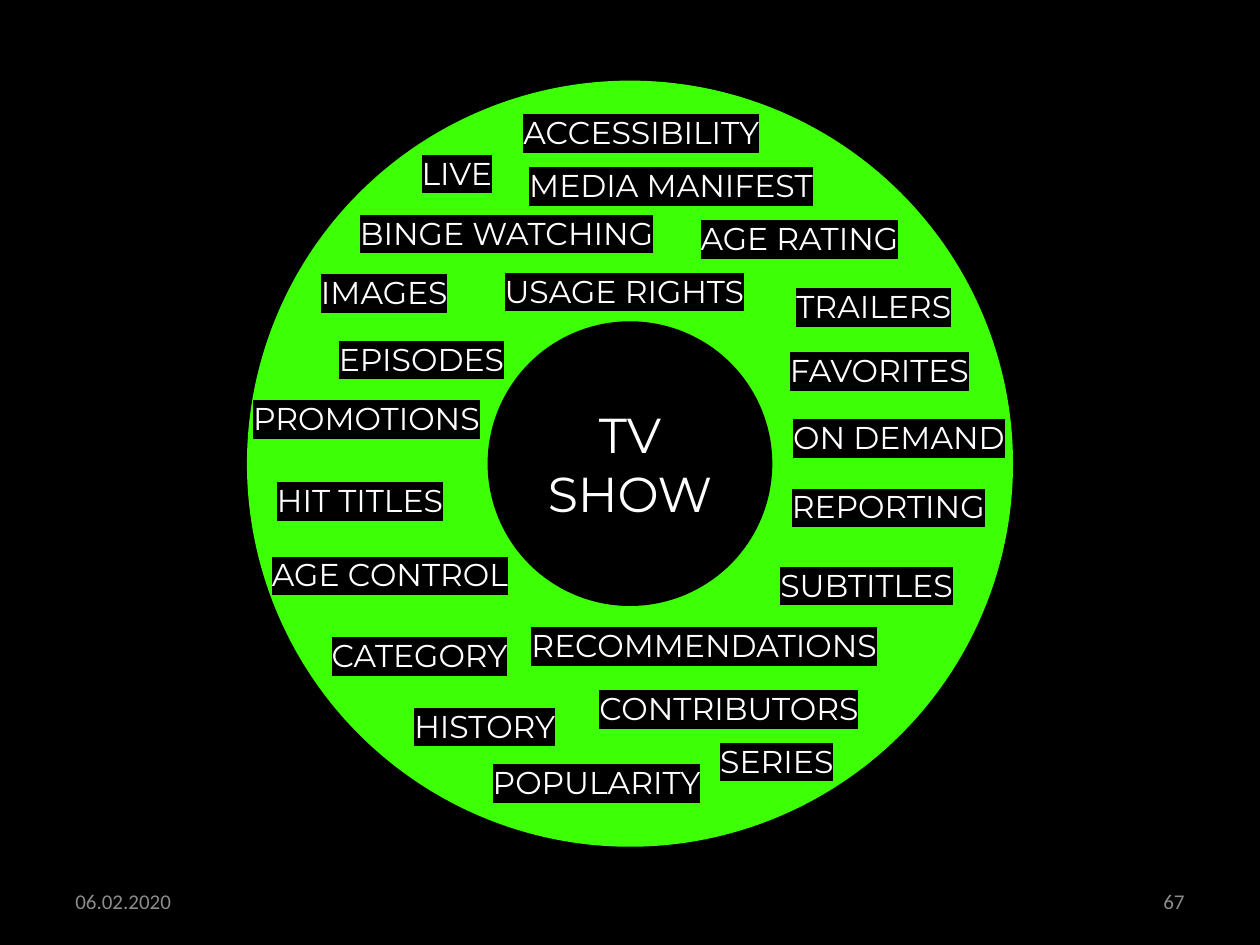
from lxml.etree import SubElement
from pptx import Presentation
from pptx.dml.color import RGBColor
from pptx.enum.shapes import MSO_SHAPE
from pptx.enum.text import MSO_ANCHOR, MSO_AUTO_SIZE, PP_ALIGN
from pptx.oxml.ns import qn
from pptx.util import Inches, Pt

PX = Inches(1) // 100
COLORS = {"black": "000000", "green": "3DFF06", "white": "FFFFFF", "gray": "8C8C8C"}
LEFT, CENTER, RIGHT = PP_ALIGN.LEFT, PP_ALIGN.CENTER, PP_ALIGN.RIGHT
TOPIC_HEIGHT = 40

TOPICS = [
    ("SERIES", 363, 520, 115, CENTER),
    ("FAVORITES", 414, 210, 176, CENTER),
    ("SUBTITLES", 403, 380, 167, RIGHT),
    ("PROMOTIONS", -5, 248, 208, LEFT),
    ("BINGE WATCHING", 72, 101, 268, CENTER),
    ("HIT TITLES", 14, 313, 164, LEFT),
    ("RECOMMENDATIONS", 216, 428, 306, LEFT),
    ("HISTORY", 123, 492, 140, LEFT),
    ("EPISODES", 60, 201, 157, CENTER),
    ("ACCESSIBILITY", 201, 21, 224, CENTER),
    ("REPORTING", 419, 318, 180, CENTER),
    ("POPULARITY", 179, 537, 197, CENTER),
    ("AGE RATING", 344, 105, 189, CENTER),
    ("USAGE RIGHTS", 189, 147, 221, CENTER),
    ("CONTRIBUTORS", 264, 478, 237, CENTER),
    ("AGE CONTROL", 5, 372, 217, CENTER),
    ("CATEGORY", 52, 436, 170, CENTER),
    ("IMAGES", 46, 148, 126, CENTER),
    ("MEDIA MANIFEST", 207, 63, 259, CENTER),
    ("LIVE", 126, 53, 81, CENTER),
    ("ON DEMAND", 421, 263, 193, CENTER),
    ("TRAILERS", 421, 159, 153, CENTER),
]


def rgb(name):
    return RGBColor.from_string(COLORS[name])


def emu(*lengths):
    return [length * PX for length in lengths]


def add_disc(slide, box, color):
    disc = slide.shapes.add_shape(MSO_SHAPE.OVAL, *emu(*box))
    disc.shadow.inherit = False
    disc.fill.solid()
    disc.fill.fore_color.rgb = rgb(color)
    disc.line.fill.background()


def add_text(slide, box, text, size, font, color, align, highlight=None, fixed=False):
    label = slide.shapes.add_textbox(*emu(*box))
    frame = label.text_frame
    frame.text = text
    frame.word_wrap = fixed
    frame.auto_size = MSO_AUTO_SIZE.NONE if fixed else MSO_AUTO_SIZE.SHAPE_TO_FIT_TEXT
    frame.vertical_anchor = MSO_ANCHOR.MIDDLE if fixed else MSO_ANCHOR.TOP
    for paragraph in frame.paragraphs:
        paragraph.alignment = align
        for run in paragraph.runs:
            run.font.size = Pt(size)
            run.font.color.rgb = rgb(color)
            if highlight:
                marker = SubElement(run.font._element, qn("a:highlight"))
                SubElement(marker, qn("a:srgbClr"), val=COLORS[highlight])
            run.font.name = font


def build_wheel(slide, left, top, size):
    add_disc(slide, (left, top, size, size), "green")
    for topic, dx, dy, width, align in TOPICS:
        add_text(slide, (left + dx, top + dy, width, TOPIC_HEIGHT), topic, 18,
                 "Montserrat", "white", align, highlight="black")
    hub = 226
    inset = (size - hub) // 2
    add_disc(slide, (left + inset, top + inset, hub, hub), "black")
    width, height = 160, 104
    title_box = (left + (size - width) // 2, top + (size - height) // 2, width, height)
    add_text(slide, title_box, "TV\nSHOW", 28, "Montserrat", "white", CENTER)


def build_footer(slide, left, top, width, height):
    part = 233
    for text, x, align in (("06.02.2020", left, LEFT), ("67", left + width - part, RIGHT)):
        add_text(slide, (x, top, part, height), text, 12, "Calibri", "gray", align, fixed=True)


def main():
    deck = Presentation()
    deck.slide_width, deck.slide_height = emu(1000, 750)
    slide = deck.slides.add_slide(deck.slide_layouts[6])
    slide.background.fill.solid()
    slide.background.fill.fore_color.rgb = rgb("black")
    build_wheel(slide, 196, 64, 608)
    build_footer(slide, 50, 695, 900, 40)
    deck.save("out.pptx")


if __name__ == "__main__":
    main()
